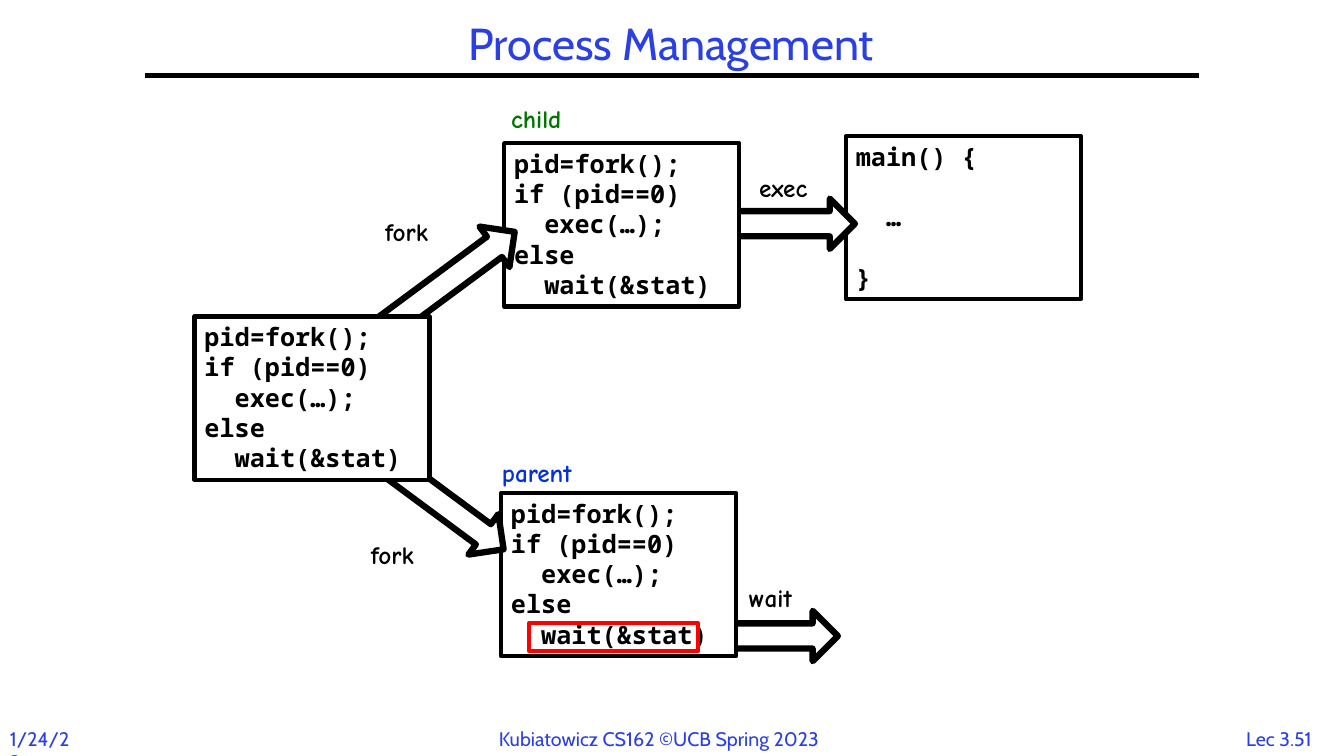
from pptx import Presentation
from pptx.dml.color import RGBColor
from pptx.enum.shapes import MSO_CONNECTOR, MSO_SHAPE
from pptx.enum.text import MSO_ANCHOR, PP_ALIGN
from pptx.oxml.ns import qn
from pptx.util import Inches, Pt
from lxml import etree

RECT, ARROW = MSO_SHAPE.RECTANGLE, MSO_SHAPE.RIGHT_ARROW
STRAIGHT = MSO_CONNECTOR.STRAIGHT
TOP, MIDDLE = MSO_ANCHOR.TOP, MSO_ANCHOR.MIDDLE
LEFT, CENTER = PP_ALIGN.LEFT, PP_ALIGN.CENTER
BLACK, WHITE, RED = "000000", "FFFFFF", "FF0000"
BLUE, GREEN, ROYAL = "2A40E2", "007600", "0330D8"
CODE_W, CODE_H = 2.33, 1.62
LINE = 21.6  # points from one line of code to the next

FORK = ["pid=fork();", "if (pid==0)", "  exec(…);", "else", "  wait(&stat)"]
MAIN = ["main() {", "  …", "}"]


def color(code):
    return RGBColor.from_string(code)


class Board:
    sans, hand, mono = "Cabin", "Comic Neue", "Noto Sans Mono"

    def __init__(self, slide):
        self.slide = slide
        self.shapes = slide.shapes

    def style(self, para, font, size, ink, bold=False, align=LEFT):
        para.alignment = align
        for run in para.runs:
            run.font.name = font
            run.font.size = Pt(size)
            run.font.bold = bold
            run.font.color.rgb = color(ink)

    def title(self, text, *box):
        shape = self.shapes.title
        shape.left, shape.top, shape.width, shape.height = map(Inches, box)
        frame = shape.text_frame
        frame.text = text
        frame.vertical_anchor = MIDDLE
        para = frame.paragraphs[0]
        para.line_spacing = 0.9
        self.style(para, self.sans, 32, BLUE, align=CENTER)

    def text(self, text, box, font, size, ink, bold=False, align=LEFT):
        frame = self.shapes.add_textbox(*map(Inches, box)).text_frame
        frame.word_wrap = False
        frame.text = text
        self.style(frame.paragraphs[0], font, size, ink, bold, align)

    def label(self, text, x, y, width, ink=BLACK):
        self.text(text, (x, y, width, 0.4), self.hand, 18, ink, True)

    def foot(self, text, x, width, align=LEFT):
        self.text(text, (x, 7.16, width, 0.34), self.sans, 14, BLUE, align=align)

    def shape(self, kind, box, fill=WHITE, ink=BLACK, weight=3):
        shape = self.shapes.add_shape(kind, *map(Inches, box))
        shape.shadow.inherit = False
        if fill:
            shape.fill.solid()
            shape.fill.fore_color.rgb = color(fill)
        else:
            shape.fill.background()
        shape.line.color.rgb = color(ink)
        shape.line.width = Pt(weight)
        return shape

    def code(self, lines, x, y, fill=WHITE, gap=0):
        """Draw a framed listing with gap empty lines between its lines."""
        shape = self.shape(RECT, (x, y, CODE_W, CODE_H), fill)
        frame = shape.text_frame
        frame.word_wrap = True
        frame.vertical_anchor = TOP
        frame.text = "\n".join(lines)
        for row, para in enumerate(frame.paragraphs):
            para.line_spacing = Pt(LINE)
            if row and gap:
                para.space_before = Pt(gap * LINE)
            self.style(para, self.mono, 18, BLACK, True)

    def arrow(self, x, y, width=1.17, turn=0):
        shape = self.shape(ARROW, (x, y, width, 0.5), weight=4.5)
        shape.rotation = turn

    def rule(self, x, y, end):
        line = self.shapes.add_connector(
            STRAIGHT, Inches(x), Inches(y), Inches(end), Inches(y))
        line.line.color.rgb = color(BLACK)
        line.line.width = Pt(3)
        etree.SubElement(line._element.spPr, qn("a:effectLst"))


def main():
    deck = Presentation()
    deck.slide_width, deck.slide_height = Inches(13.33), Inches(7.5)
    board = Board(deck.slides.add_slide(deck.slide_layouts[5]))

    board.title("Process Management", 1.44, 0.17, 10.44, 0.58)
    board.rule(1.44, 0.75, 11.89)
    board.foot("1/24/23", 0, 0.85)
    board.foot("Kubiatowicz CS162 ©UCB Spring 2023", 4.85, 3.63)
    board.foot("Lec 3.51", 12.2, 0.97, CENTER)

    # Later steps lie behind the earlier ones
    board.arrow(7.14, 6.06)
    board.code(MAIN, 8.39, 1.35, fill=None, gap=1)
    board.arrow(7.31, 1.97)
    board.code(FORK, 4.97, 4.89)
    board.shape(RECT, (5.25, 6.18, 1.67, 0.28), None, RED)
    board.code(FORK, 5, 1.42)
    board.arrow(3.68, 2.52, 1.58, -36.5)
    board.arrow(3.57, 4.73, 1.58, 36.5)
    board.code(FORK, 1.93, 3.14)

    board.label("child", 4.97, 0.98, 0.79, GREEN)
    board.label("parent", 4.88, 4.49, 0.99, ROYAL)
    board.label("fork", 3.72, 2.1, 0.72)
    board.label("fork", 3.58, 5.3, 0.72)
    board.label("wait", 7.33, 5.73, 0.71)
    board.label("exec", 7.43, 1.66, 0.76)

    deck.save("out.pptx")


if __name__ == "__main__":
    main()
